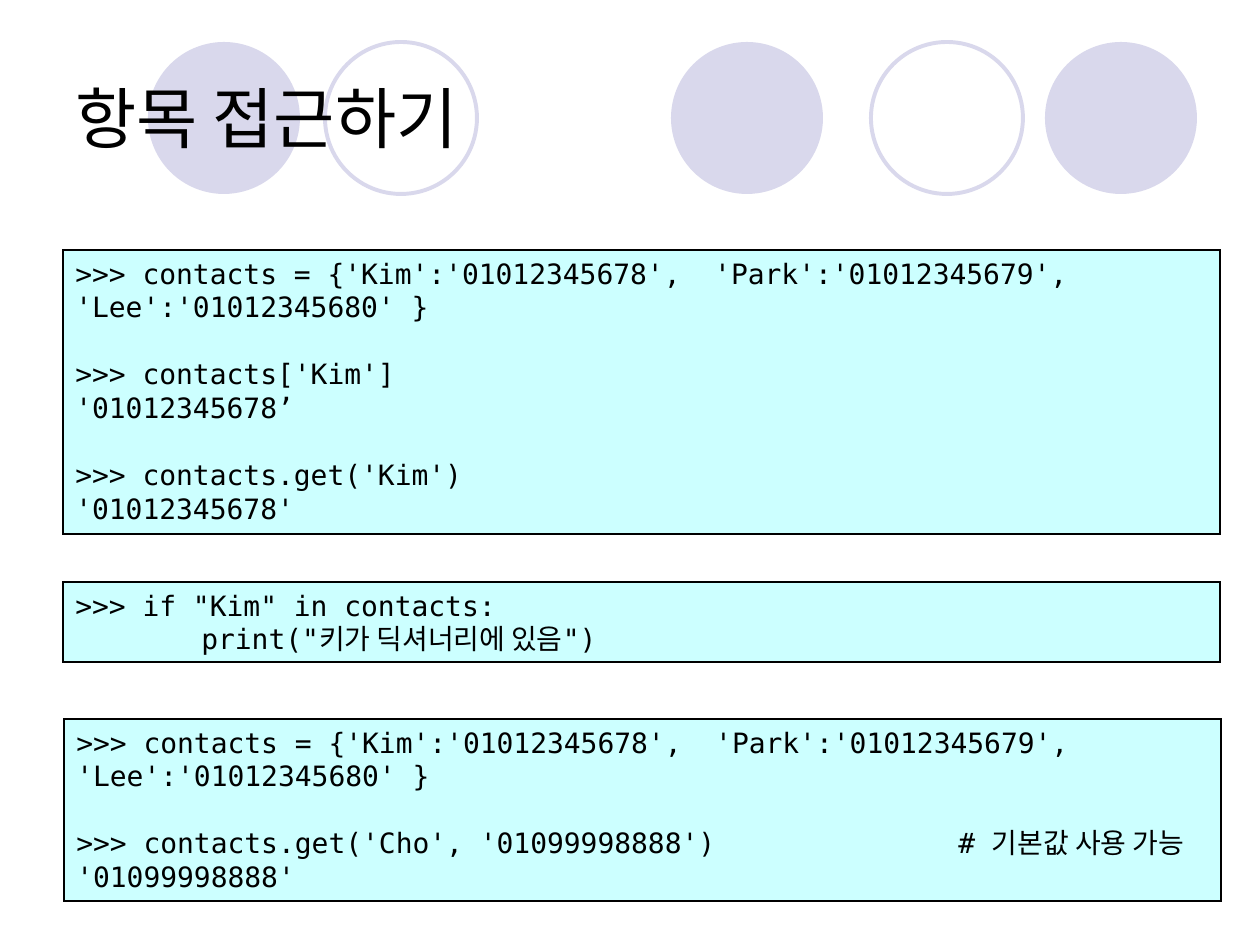
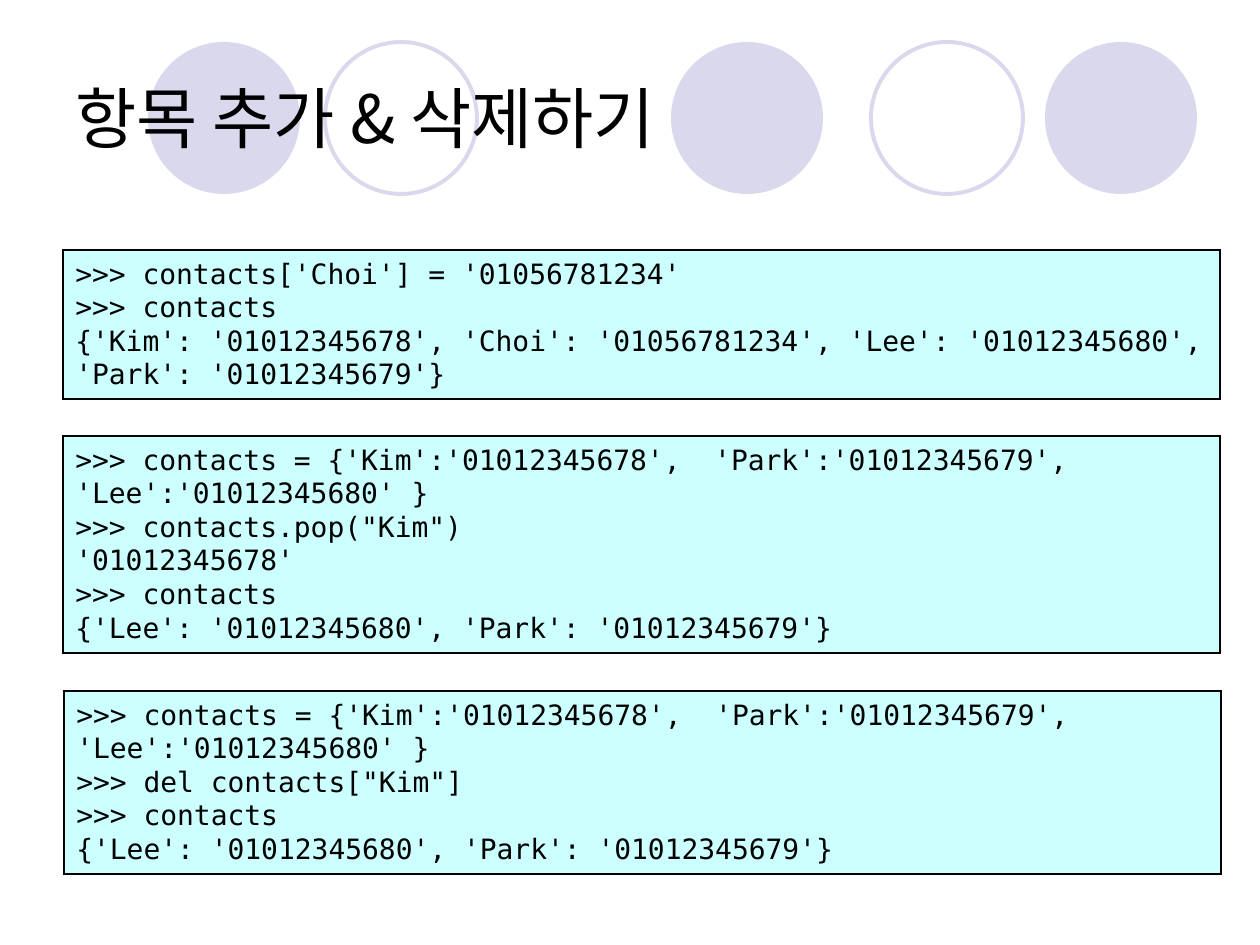
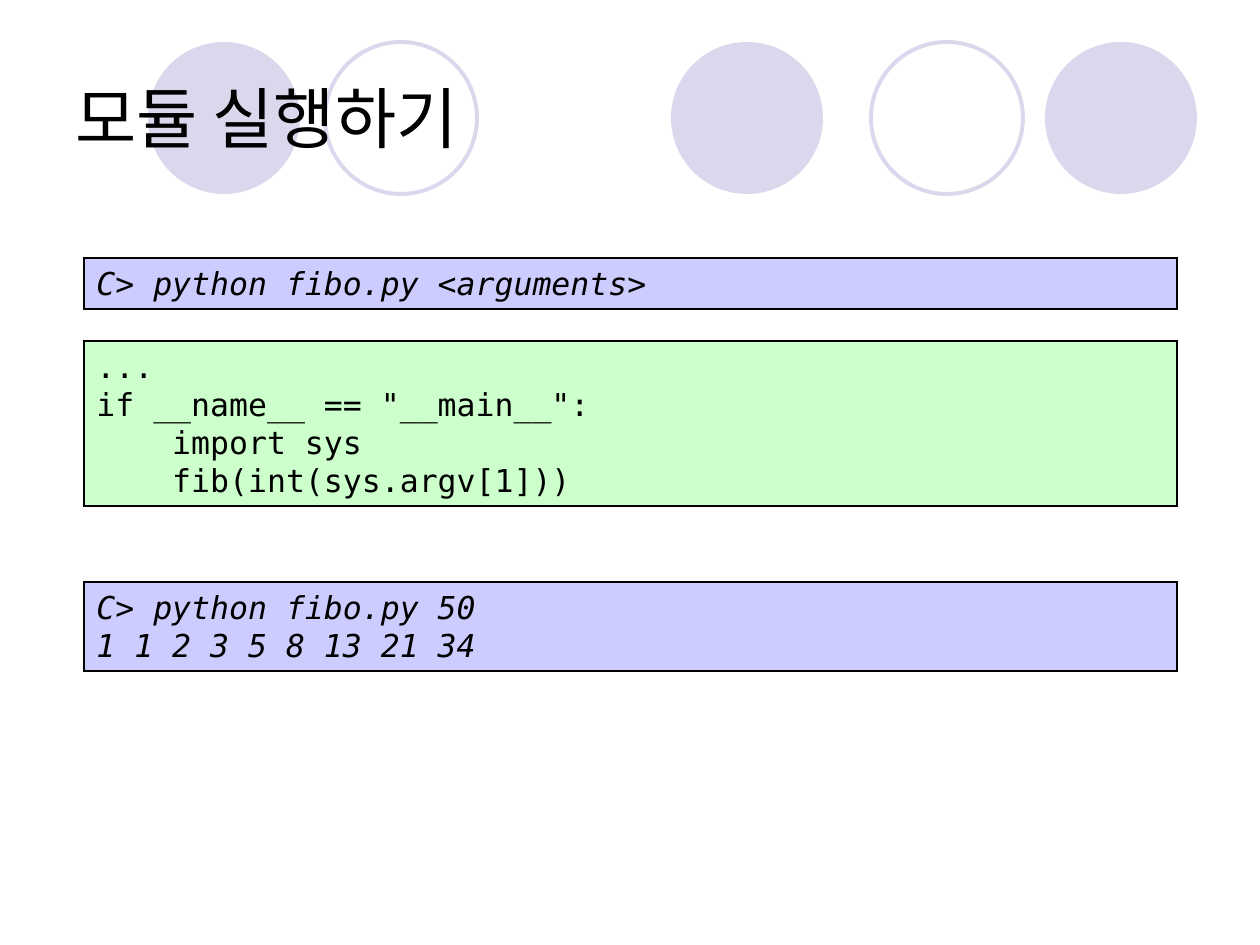
from lxml import etree
from pptx import Presentation
from pptx.dml.color import RGBColor
from pptx.enum.shapes import MSO_SHAPE
from pptx.enum.text import MSO_ANCHOR, PP_ALIGN
from pptx.oxml.ns import qn
from pptx.util import Emu, Pt

RECTANGLE = MSO_SHAPE.RECTANGLE
OVAL = MSO_SHAPE.OVAL
LEFT = PP_ALIGN.LEFT
TOP = MSO_ANCHOR.TOP
MIDDLE = MSO_ANCHOR.MIDDLE

PX_PER_INCH = 126
EMU_PER_PX = 914400 / PX_PER_INCH
SLIDE_SIZE = (1260, 945)
BLANK_LAYOUT = 6

COLORS = {
    "circle": "D9D8EC",
    "text": "000000",
    "border": "000000",
    "session": "CCFFFF",
    "command": "CCCCFF",
    "module": "CCFFCC",
}
CODE_FONT = "DejaVu Sans Mono"
KOREAN_FONT = "Noto Sans CJK KR"
TITLE_SIZE = 38
LINE_HEIGHT = 1.2
TAB_WIDTH = 126

CIRCLE_SIZE = 152
CIRCLE_TOP = 42
CIRCLES = [(671, True), (1045, True), (148, True), (871, False), (325, False)]

CONTACTS = ">>> contacts = {'Kim':'01012345678',  'Park':'01012345679', 'Lee':'01012345680' }"
REMAINING = "{'Lee': '01012345680', 'Park': '01012345679'}"


def px(length):
    return Emu(round(length * EMU_PER_PX))


def color(name):
    return RGBColor.from_string(COLORS[name])


def add_text(paragraph, text, size, font_name, italic=False):
    paragraph.alignment = LEFT
    paragraph._p.get_or_add_pPr().set("defTabSz", str(px(TAB_WIDTH)))
    run = paragraph.add_run()
    run.text = text
    run.font.size = Pt(size)
    run.font.name = font_name
    run.font.italic = italic
    run.font.color.rgb = color("text")
    properties = run.font._element
    properties.set("kern", "0")
    east_asian = etree.SubElement(properties, qn("a:ea"))
    east_asian.set("typeface", KOREAN_FONT)


def add_filled_shape(slide, kind, box, fill, line, line_width):
    shape = slide.shapes.add_shape(kind, *map(px, box))
    shape.shadow.inherit = False
    if fill:
        shape.fill.solid()
        shape.fill.fore_color.rgb = color(fill)
    else:
        shape.fill.background()
    if line:
        shape.line.color.rgb = color(line)
        shape.line.width = Pt(line_width)
        miter = etree.SubElement(shape.line._get_or_add_ln(), qn("a:miter"))
        miter.set("lim", "800000")
    else:
        shape.line.fill.background()
    return shape


def add_circles(slide):
    for left, filled in CIRCLES:
        box = (left, CIRCLE_TOP, CIRCLE_SIZE, CIRCLE_SIZE)
        fill, line = ("circle", None) if filled else (None, "circle")
        add_filled_shape(slide, OVAL, box, fill, line, 2.25)


def add_title(slide, title):
    text_box = slide.shapes.add_textbox(px(63), px(38), px(1134), px(157))
    frame = text_box.text_frame
    frame.word_wrap = True
    frame.vertical_anchor = MIDDLE
    add_text(frame.paragraphs[0], title, TITLE_SIZE, KOREAN_FONT)


def add_code_box(slide, box, fill, size, groups, italic=False):
    shape = add_filled_shape(slide, RECTANGLE, box, fill, "border", 0.75)
    frame = shape.text_frame
    frame.word_wrap = True
    frame.vertical_anchor = TOP
    paragraph = frame.paragraphs[0]
    for group_index, lines in enumerate(groups):
        for line_index, line in enumerate(lines):
            if group_index or line_index:
                paragraph = frame.add_paragraph()
            if group_index and not line_index:
                paragraph.space_before = Pt(size * LINE_HEIGHT)
            add_text(paragraph, line, size, CODE_FONT, italic)


def add_session_box(slide, left, top, height, *groups):
    add_code_box(slide, (left, top, 1157, height), "session", 16, groups)


def add_module_box(slide, top, height, fill, lines):
    add_code_box(slide, (84, top, 1093, height), fill, 18, [lines], fill == "command")


def add_slide(presentation, title):
    slide = presentation.slides.add_slide(presentation.slide_layouts[BLANK_LAYOUT])
    add_circles(slide)
    add_title(slide, title)
    return slide


def add_access_slide(presentation):
    slide = add_slide(presentation, "항목 접근하기")
    add_session_box(
        slide, 63, 250, 284,
        [CONTACTS],
        [">>> contacts['Kim']", "'01012345678’"],
        [">>> contacts.get('Kim')", "'01012345678'"],
    )
    add_session_box(
        slide, 63, 582, 80,
        ['>>> if "Kim" in contacts:', '\tprint("키가 딕셔너리에 있음")'],
    )
    add_session_box(
        slide, 64, 719, 182,
        [CONTACTS],
        [">>> contacts.get('Cho', '01099998888')\t\t# 기본값 사용 가능", "'01099998888'"],
    )


def add_change_slide(presentation):
    slide = add_slide(presentation, "항목 추가 & 삭제하기")
    add_session_box(
        slide, 63, 250, 149,
        [
            ">>> contacts['Choi'] = '01056781234'",
            ">>> contacts",
            "{'Kim': '01012345678', 'Choi': '01056781234', 'Lee': '01012345680', 'Park': '01012345679'}",
        ],
    )
    add_session_box(
        slide, 63, 436, 217,
        [CONTACTS, '>>> contacts.pop("Kim")', "'01012345678'", ">>> contacts", REMAINING],
    )
    add_session_box(
        slide, 64, 691, 183,
        [CONTACTS, '>>> del contacts["Kim"]', ">>> contacts", REMAINING],
    )


def add_module_slide(presentation):
    slide = add_slide(presentation, "모듈 실행하기")
    add_module_box(slide, 258, 51, "command", ["C> python fibo.py <arguments>"])
    add_module_box(
        slide, 341, 165, "module",
        ["...", 'if __name__ == "__main__":', "    import sys", "    fib(int(sys.argv[1]))"],
    )
    add_module_box(
        slide, 582, 89, "command",
        ["C> python fibo.py 50", "1 1 2 3 5 8 13 21 34"],
    )


def main():
    presentation = Presentation()
    presentation.slide_width, presentation.slide_height = map(px, SLIDE_SIZE)
    add_access_slide(presentation)
    add_change_slide(presentation)
    add_module_slide(presentation)
    presentation.save("out.pptx")


if __name__ == "__main__":
    main()
